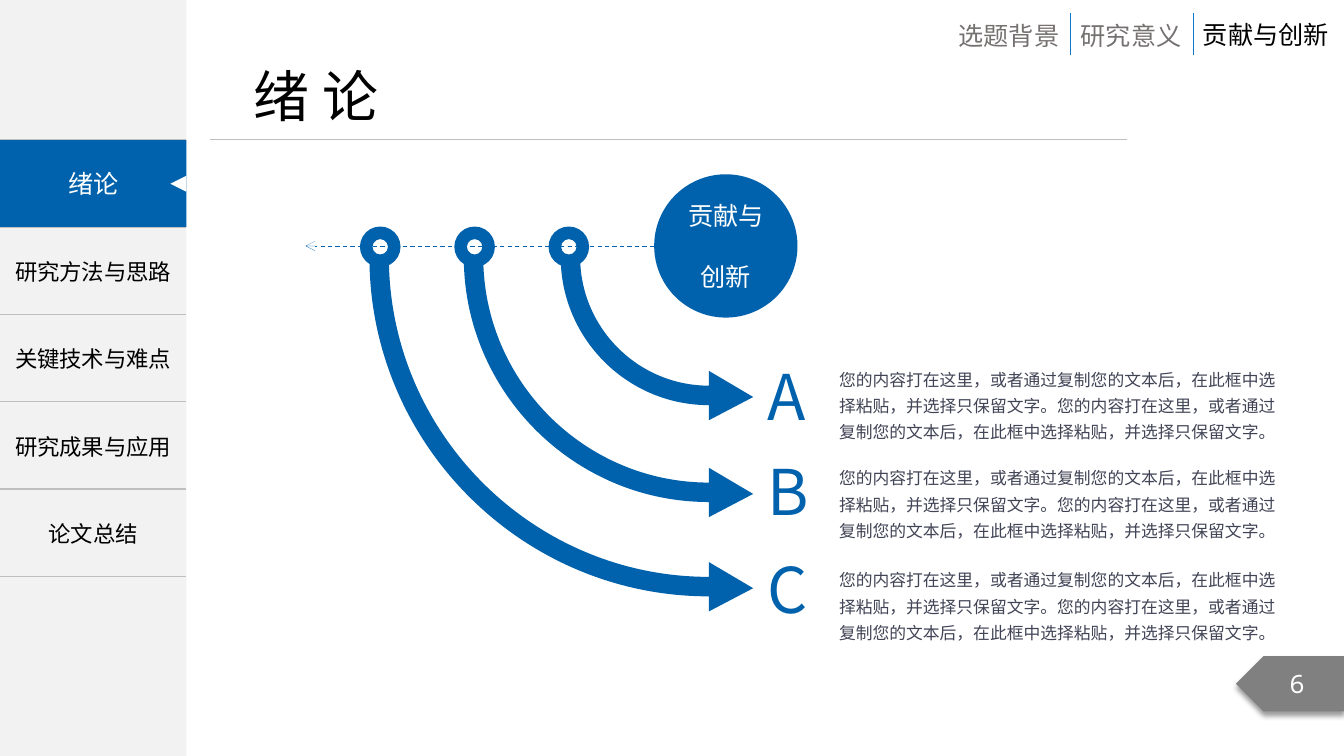
"""Builds the contributions slide of a thesis deck: side menu, curved arrows and three notes."""
from dataclasses import dataclass

from lxml.etree import SubElement
from pptx import Presentation
from pptx.dml.color import RGBColor as Rgb
from pptx.enum.dml import MSO_LINE as Dash
from pptx.enum.shapes import MSO_CONNECTOR as Connector, MSO_SHAPE as Shape
from pptx.enum.text import MSO_ANCHOR as Anchor, MSO_AUTO_SIZE as AutoSize, PP_ALIGN as Align
from pptx.oxml import parse_xml
from pptx.oxml.ns import nsdecls, qn
from pptx.util import Pt

COLORS = {
    "blue": "0062AC", "divider": "0D79CA", "panel": "F2F2F2", "rule": "BFBFBF",
    "gray": "808080", "muted": "767171", "body": "414455", "black": "000000", "white": "FFFFFF",
}
SANS, MONO = "Noto Sans CJK SC", "Noto Sans Mono"
WIDE_INSET, SLIM_INSET = (7.2, 3.6), (5.8, 2.9)
MENU_WIDTH, MENU_TOP, ROW_HEIGHT = 133.2, 100, 62.36
MENU = ["", "研究方法与思路", "关键技术与难点", "研究成果与应用", "论文总结"]
NOTE = "您的内容打在这里，或者通过复制您的文本后，在此框中选择粘贴，并选择只保留文字。" * 2
ARC_X, ARC_Y, BAND, ARC_PULL = 506.3, 183.6, 13.9, 0.55
RING_Y, RING_SIZE = 176.3, 29


@dataclass
class Style:
    size: float
    color: str
    font: str = SANS
    align: Align = Align.LEFT
    spacing: float = 1.0
    gap: float = 0


@dataclass
class Label:
    text: str
    left: float
    top: float
    width: float
    height: float
    style: Style
    anchor: Anchor = Anchor.TOP
    inset: tuple = WIDE_INSET
    wrap: bool = False


@dataclass
class Branch:
    letter: str
    ring_x: float
    radius: float
    letter_top: float
    letter_width: float
    note_top: float


BRANCHES = [
    Branch("A", 406.3, 105.8, 252, 43.9, 257),
    Branch("B", 339, 175, 319.7, 40.3, 327.2),
    Branch("C", 271.6, 242.4, 390.2, 42.5, 400),
]


def rgb(name: str) -> Rgb:
    return Rgb.from_string(COLORS[name])


def assign(target, values: dict) -> None:
    for key, value in values.items():
        setattr(target, key, value)


def write(frame, text: str, style: Style) -> None:
    frame.text = text
    for index, para in enumerate(frame.paragraphs):
        assign(para, {"alignment": style.align, "line_spacing": style.spacing})
        if index:
            para.space_before = Pt(style.gap)
        for span in para.runs:
            assign(span.font, {"size": Pt(style.size), "name": style.font})
            span.font.color.rgb = rgb(style.color)
            SubElement(span.font._element, qn("a:ea"), typeface=style.font)


def set_frame(frame, anchor: Anchor, inset: tuple, wrap: bool) -> None:
    side, edge = map(Pt, inset)
    assign(frame, {"vertical_anchor": anchor, "word_wrap": wrap, "margin_left": side,
                   "margin_right": side, "margin_top": edge, "margin_bottom": edge})


def paint(shape, color: str) -> None:
    shape.shadow.inherit = False
    shape.fill.solid()
    shape.fill.fore_color.rgb = rgb(color)
    shape.line.fill.background()


def add_box(shapes, kind: Shape, bounds: tuple, color: str):
    box = shapes.add_shape(kind, *map(Pt, bounds))
    paint(box, color)
    return box


def add_label(shapes, label: Label) -> None:
    bounds = (label.left, label.top, label.width, label.height)
    frame = shapes.add_textbox(*map(Pt, bounds)).text_frame
    set_frame(frame, label.anchor, label.inset, label.wrap)
    frame.auto_size = AutoSize.SHAPE_TO_FIT_TEXT
    write(frame, label.text, label.style)


def add_line(shapes, start: tuple, end: tuple, color: str, width: float):
    line = shapes.add_connector(Connector.STRAIGHT, *map(Pt, start + end))
    line.line.color.rgb = rgb(color)
    line.line.width = Pt(width)
    SubElement(line._element.spPr, qn("a:effectLst"))
    return line


def add_menu(shapes) -> None:
    bounds = (0, MENU_TOP, MENU_WIDTH, ROW_HEIGHT * len(MENU))
    table = shapes.add_table(len(MENU), 1, *map(Pt, bounds)).table
    assign(table, {"first_row": False, "horz_banding": False})
    rule = f'<a:solidFill><a:srgbClr val="{COLORS["rule"]}"/></a:solidFill>'
    fills = {"lnL": "<a:noFill/>", "lnR": "<a:noFill/>", "lnT": rule, "lnB": rule}
    for row, text in enumerate(MENU):
        table.rows[row].height = Pt(ROW_HEIGHT)
        cell = table.cell(row, 0)
        cell.fill.background()
        cell.vertical_anchor = Anchor.MIDDLE
        write(cell.text_frame, text, Style(16, "black", align=Align.CENTER))
        for index, (edge, fill) in enumerate(fills.items()):
            border = parse_xml(f'<a:{edge} {nsdecls("a")} w="{Pt(1)}">{fill}</a:{edge}>')
            cell._tc.get_or_add_tcPr().insert(index, border)


def add_active_tab(shapes) -> None:
    group = shapes.add_group_shape().shapes
    tab = add_box(group, Shape.RECTANGLE, (0, MENU_TOP, MENU_WIDTH, 62), "blue")
    set_frame(tab.text_frame, Anchor.MIDDLE, WIDE_INSET, True)
    write(tab.text_frame, "绪论", Style(18, "white", align=Align.CENTER))
    marker = add_box(group, Shape.ISOSCELES_TRIANGLE, (121.7, 125.5, 11.5, 11.5), "white")
    marker.rotation = 270


def add_page_number(shapes) -> None:
    badge = add_box(shapes, Shape.PENTAGON, (882.8, 468.6, 77.6, 39.6), "gray")
    badge._element.spPr.find(qn("a:xfrm")).set("flipH", "1")
    shadow = SubElement(badge._element.spPr.find(qn("a:effectLst")), qn("a:outerShdw"),
                        blurRad=str(Pt(4)), dist=str(Pt(3)), dir="5400000",
                        algn="t", rotWithShape="0")
    tint = SubElement(shadow, qn("a:srgbClr"), val=COLORS["black"])
    SubElement(tint, qn("a:alpha"), val="40000")
    set_frame(badge.text_frame, Anchor.MIDDLE, WIDE_INSET, True)
    write(badge.text_frame, "6", Style(18, "white", MONO, Align.CENTER))


def bend(segment, start: tuple, upright: bool) -> None:
    """Turns a straight segment into a quarter arc that leaves its start upright or level."""
    point = segment[0]
    (x0, y0), (x1, y1) = start, (int(point.get("x")), int(point.get("y")))
    dx, dy = ARC_PULL * (x1 - x0), ARC_PULL * (y1 - y0)
    handles = [(x0, y0 + dy), (x1 - dx, y1)] if upright else [(x0 + dx, y0), (x1, y1 - dy)]
    curve = parse_xml(f'<a:cubicBezTo {nsdecls("a")}/>')
    for x, y in handles + [(x1, y1)]:
        SubElement(curve, qn("a:pt"), x=str(round(x)), y=str(round(y)))
    segment.getparent().replace(segment, curve)


def add_curved_arrow(shapes, radius: float) -> None:
    inner, bottom = radius - BAND, ARC_Y + radius
    outline = [(ARC_X - radius, ARC_Y), (ARC_X, bottom), (ARC_X, bottom + 10.8),
               (ARC_X + 31.7, bottom - 5.8), (ARC_X, bottom - 24.5),
               (ARC_X, bottom - BAND), (ARC_X - inner, ARC_Y)]
    points = [(Pt(x), Pt(y)) for x, y in outline]
    builder = shapes.build_freeform(*points[0])
    builder.add_line_segments(points[1:], close=True)
    arrow = builder.convert_to_shape()
    paint(arrow, "blue")
    segments = list(arrow._element.iter(qn("a:lnTo")))
    for index, upright in ((0, True), (5, False)):
        x, y = points[index]
        bend(segments[index], (x - arrow.left, y - arrow.top), upright)


def add_branch(shapes, branch: Branch) -> None:
    bounds = (branch.ring_x - RING_SIZE / 2, RING_Y - RING_SIZE / 2, RING_SIZE, RING_SIZE)
    ring = add_box(shapes, Shape.DONUT, bounds, "blue")
    ring.adjustments[0] = 0.31
    add_curved_arrow(shapes, branch.radius)
    add_label(shapes, Label(branch.letter, 542.4, branch.letter_top, branch.letter_width, 60.5,
                            Style(45, "blue"), Anchor.MIDDLE, SLIM_INSET))
    add_label(shapes, Label(NOTE, 593.5, branch.note_top, 325.4, 62.6,
                            Style(12, "body", spacing=1.3), inset=SLIM_INSET, wrap=True))


def main() -> None:
    deck = Presentation()
    assign(deck, {"slide_width": Pt(960), "slide_height": Pt(540)})
    shapes = deck.slides.add_slide(deck.slide_layouts[6]).shapes
    add_box(shapes, Shape.RECTANGLE, (0, 0, MENU_WIDTH, 540), "panel")
    add_line(shapes, (150.2, 99.8), (805, 99.8), "rule", 0.5)
    add_label(shapes, Label("绪 论", 174.2, 40.3, 115.2, 55.4, Style(40, "black")))
    add_page_number(shapes)
    tabs = [("选题背景", "muted", 10.8, 87.1), ("研究意义", "muted", 10.8, 87.1),
            ("贡献与创新", "black", 10.1, 105.1)]
    for index, (text, color, top, width) in enumerate(tabs):
        left = 677.5 + 87.3 * index
        if index:
            add_line(shapes, (left, 9.4), (left, 39.1), "divider", 0.5)
        add_label(shapes, Label(text, left, top, width, 28.8, Style(18, color)))
    add_menu(shapes)
    add_active_tab(shapes)
    hub = add_box(shapes, Shape.OVAL, (467.3, 124.5, 102.4, 102.4), "blue")
    set_frame(hub.text_frame, Anchor.MIDDLE, SLIM_INSET, True)
    write(hub.text_frame, "贡献与\n创新", Style(18, "white", align=Align.CENTER, gap=21.8))
    axis = add_line(shapes, (467.3, 175.7), (218.2, 175.7), "blue", 0.01)
    axis.line.dash_style = Dash.DASH
    SubElement(axis.line._get_or_add_ln(), qn("a:tailEnd"), type="arrow")
    for branch in BRANCHES:
        add_branch(shapes, branch)
    deck.save("out.pptx")


if __name__ == "__main__":
    main()
